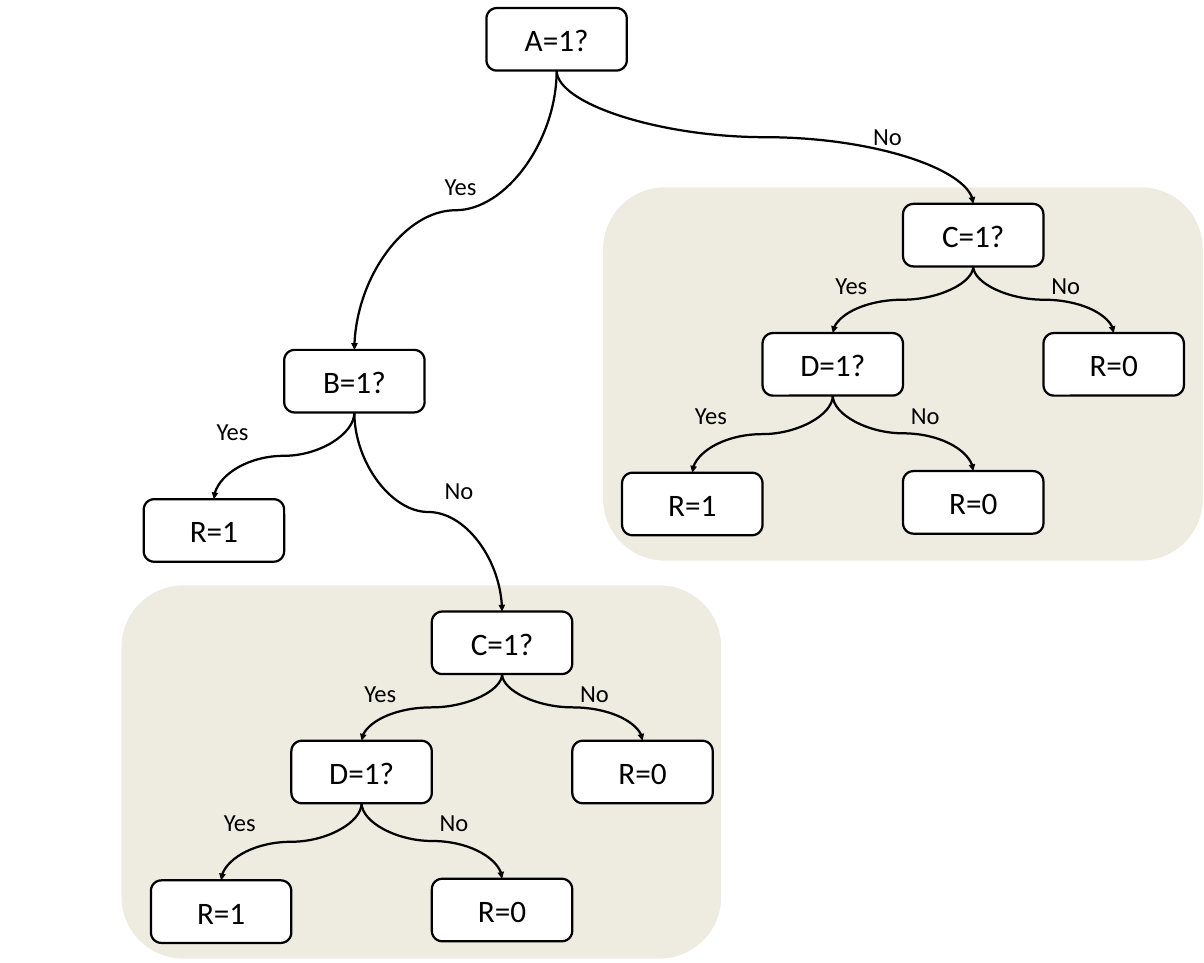
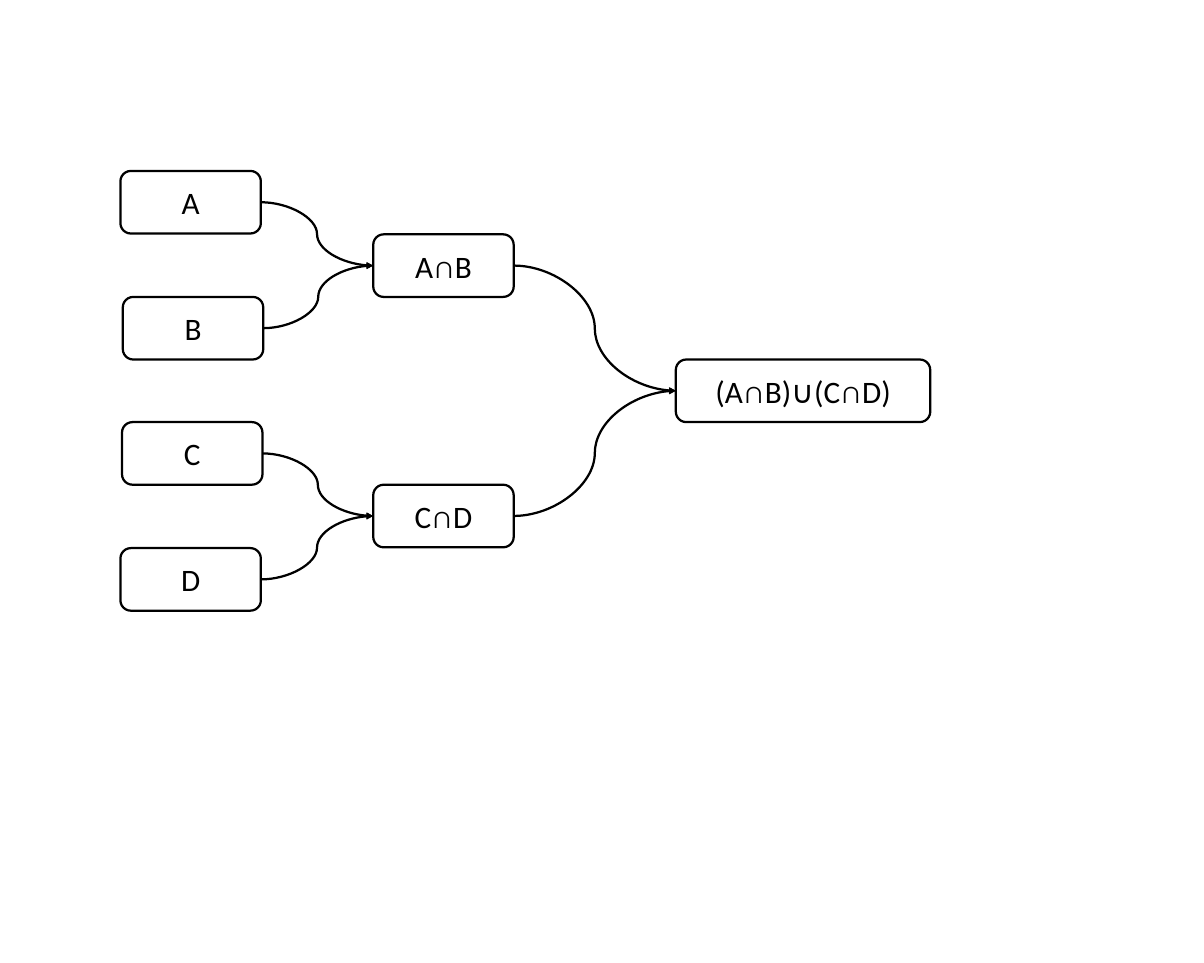
import pptx
import pptx.dml.color
import pptx.enum.shapes
import pptx.enum.text
import pptx.oxml
import pptx.oxml.ns
import pptx.util

Inches = pptx.util.Inches
Pt = pptx.util.Pt
SHAPES = pptx.enum.shapes.MSO_SHAPE

FONT = "Calibri"
BLACK, WHITE, SAND = "000000", "FFFFFF", "EEECE1"
BOX_WIDTH, BOX_HEIGHT = 1.75, 0.78
LABEL_WIDTH, LABEL_HEIGHT = 0.94, 0.47
TOP, LEFT, BOTTOM, RIGHT = 0, 1, 2, 3

PANELS = [(1.5, 7.28), (7.5, 2.32)]
PANEL_WIDTH, PANEL_HEIGHT = 7.5, 4.68

UPPER_BOXES = {
    "A": ("A=1?", 6.06, 0.1),
    "B": ("B=1?", 3.54, 4.36),
    "B yes": ("R=1", 1.79, 6.22),
}
UPPER_LABELS = [
    ("Yes", 5.44, 2.08),
    ("No", 10.78, 1.46),
    ("Yes", 2.6, 5.14),
    ("No", 5.44, 5.87),
]

SUBTREE_ORIGINS = {"A": (11.25, 2.54), "B": (5.38, 7.62)}
SUBTREE_BOXES = {
    "C": ("C=1?", 0, 0),
    "D": ("D=1?", -1.75, 1.61),
    "C no": ("R=0", 1.75, 1.61),
    "D yes": ("R=1", -3.5, 3.35),
    "D no": ("R=0", 0, 3.33),
}
SUBTREE_LABELS = [
    ("Yes", -0.94, 0.78),
    ("No", 1.75, 0.78),
    ("Yes", -2.69, 2.39),
    ("No", 0, 2.39),
]
SUBTREE_ARROWS = [("C", "D"), ("C", "C no"), ("D", "D yes"), ("D", "D no")]

SET_BOXES = [
    ("A", 1.5, 2.13, BOX_WIDTH),
    ("B", 1.53, 3.7, BOX_WIDTH),
    ("C", 1.52, 5.26, BOX_WIDTH),
    ("D", 1.5, 6.83, BOX_WIDTH),
    ("A∩B", 4.65, 2.92, BOX_WIDTH),
    ("(A∩B)∪(C∩D)", 8.42, 4.48, 3.17),
    ("C∩D", 4.65, 6.04, BOX_WIDTH),
]
SET_ARROWS = [
    ("A", "A∩B"),
    ("B", "A∩B"),
    ("C", "C∩D"),
    ("D", "C∩D"),
    ("A∩B", "(A∩B)∪(C∩D)"),
    ("C∩D", "(A∩B)∪(C∩D)"),
]


def color(value):
    return pptx.dml.color.RGBColor.from_string(value)


def write(shape, text, size):
    shape.text_frame.text = text
    para = shape.text_frame.paragraphs[0]
    span = para.runs[0]
    span.font.name = FONT
    span.font.size = Pt(size)
    span.font.color.rgb = color(BLACK)
    return para


def add_rounded(slide, left, top, width, height, fill, line):
    shape = slide.shapes.add_shape(
        SHAPES.ROUNDED_RECTANGLE, Inches(left), Inches(top), Inches(width), Inches(height)
    )
    shape.shadow.inherit = False
    shape.fill.solid()
    shape.fill.fore_color.rgb = color(fill)
    shape.line.color.rgb = color(line)
    shape.line.width = Pt(2)
    return shape


def add_box(slide, text, left, top, width=BOX_WIDTH):
    box = add_rounded(slide, left, top, width, BOX_HEIGHT, WHITE, BLACK)
    box.text_frame.vertical_anchor = pptx.enum.text.MSO_ANCHOR.MIDDLE
    write(box, text, 28).alignment = pptx.enum.text.PP_ALIGN.CENTER
    return box


def add_label(slide, text, left, top):
    label = slide.shapes.add_textbox(
        Inches(left), Inches(top), Inches(LABEL_WIDTH), Inches(LABEL_HEIGHT)
    )
    label.text_frame.word_wrap = True
    label.text_frame.auto_size = pptx.enum.text.MSO_AUTO_SIZE.SHAPE_TO_FIT_TEXT
    write(label, text, 22)


def add_arrow(slide, source, target, source_side, target_side):
    arrow = slide.shapes.add_connector(pptx.enum.shapes.MSO_CONNECTOR.CURVE, 0, 0, 0, 0)
    arrow.begin_connect(source, source_side)
    arrow.end_connect(target, target_side)
    arrow.line.color.rgb = color(BLACK)
    arrow.line.width = Pt(2)
    head = pptx.oxml.parse_xml(
        '<a:tailEnd %s type="triangle"/>' % pptx.oxml.ns.nsdecls("a")
    )
    arrow.line._get_or_add_ln().append(head)
    properties = arrow._element.spPr
    properties.append(pptx.oxml.parse_xml("<a:effectLst %s/>" % pptx.oxml.ns.nsdecls("a")))
    return arrow


def add_down_arrow(slide, source, target):
    arrow = add_arrow(slide, source, target, BOTTOM, TOP)
    goes_right = arrow.end_x > arrow.begin_x
    middle_x = (arrow.begin_x + arrow.end_x) // 2
    middle_y = (arrow.begin_y + arrow.end_y) // 2
    arrow.width, arrow.height = arrow.height, arrow.width
    arrow.left = middle_x - arrow.width // 2
    arrow.top = middle_y - arrow.height // 2
    frame = arrow._element.spPr.find(pptx.oxml.ns.qn("a:xfrm"))
    frame.set("rot", str((270 if goes_right else 90) * 60000))
    frame.set("flipH", "1" if goes_right else "0")


def add_subtree(slide, left, top):
    boxes = {
        name: add_box(slide, text, left + x, top + y)
        for name, (text, x, y) in SUBTREE_BOXES.items()
    }
    for source, target in SUBTREE_ARROWS:
        add_down_arrow(slide, boxes[source], boxes[target])
    for text, x, y in SUBTREE_LABELS:
        add_label(slide, text, left + x, top + y)
    return boxes["C"]


def build_decision_tree(slide):
    for left, top in PANELS:
        add_rounded(slide, left, top, PANEL_WIDTH, PANEL_HEIGHT, SAND, WHITE)
    boxes = {name: add_box(slide, *values) for name, values in UPPER_BOXES.items()}
    add_down_arrow(slide, boxes["A"], boxes["B"])
    add_down_arrow(slide, boxes["B"], boxes["B yes"])
    for parent, origin in SUBTREE_ORIGINS.items():
        add_down_arrow(slide, boxes[parent], add_subtree(slide, *origin))
    for label in UPPER_LABELS:
        add_label(slide, *label)


def build_set_diagram(slide):
    boxes = {values[0]: add_box(slide, *values) for values in SET_BOXES}
    for source, target in SET_ARROWS:
        add_arrow(slide, boxes[source], boxes[target], RIGHT, LEFT)


def main():
    deck = pptx.Presentation()
    deck.slide_width, deck.slide_height = Inches(15), Inches(12)
    for build in (build_decision_tree, build_set_diagram):
        build(deck.slides.add_slide(deck.slide_layouts[6]))
    deck.save("out.pptx")


if __name__ == "__main__":
    main()
